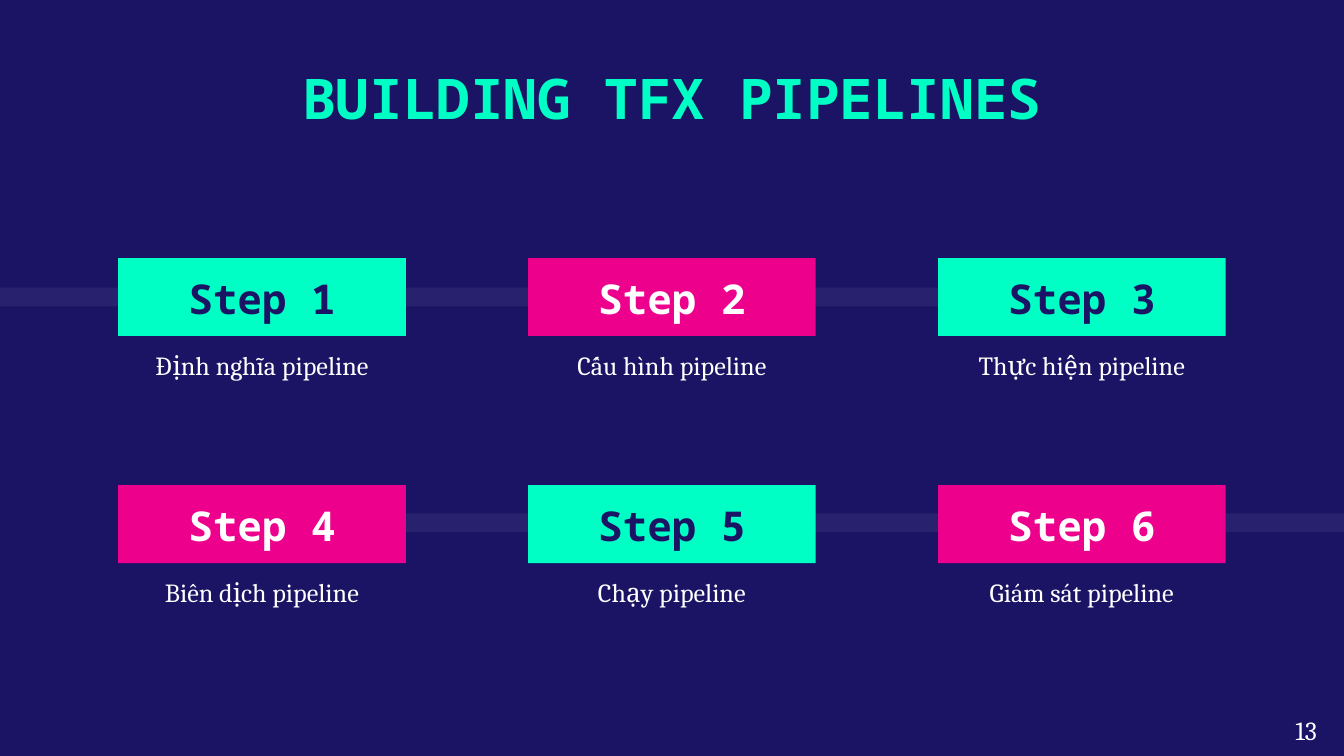
from lxml import etree
from pptx import Presentation
from pptx.dml.color import RGBColor as RGB
from pptx.enum.shapes import MSO_SHAPE as Shape
from pptx.enum.text import MSO_ANCHOR as Anchor, PP_ALIGN as Align
from pptx.oxml.ns import qn
from pptx.util import Inches, Pt

COLORS = {"navy": "1B1464", "mint": "00FFC5", "pink": "EC008C", "white": "FFFFFF"}
MONO, SERIF = "Noto Sans Mono", "Cambria"
STEPS = [
    "Định nghĩa pipeline", "Cấu hình pipeline", "Thực hiện pipeline",
    "Biên dịch pipeline", "Chạy pipeline", "Giám sát pipeline",
]
COLS = 3
LEFT, TOP = 0.88, 1.92
STEP_X, STEP_Y = 3.05, 1.69
CARD_W, CARD_H = 2.14, 0.58
NOTE_W, NOTE_H = 2.07, 0.73


def color(name):
    return RGB.from_string(COLORS[name])


def set_text(shape, text, size, font, ink, bold=False,
             align=Align.CENTER, anchor=Anchor.TOP, pad=0.1):
    frame = shape.text_frame
    frame.word_wrap = True
    frame.vertical_anchor = anchor
    frame.margin_left = frame.margin_right = Inches(0.1)
    frame.margin_top = frame.margin_bottom = Inches(pad)
    frame.text = text
    para = frame.paragraphs[0]
    para.alignment = align
    face = para.runs[0].font
    face.size, face.name, face.bold = Pt(size), font, bold
    face.color.rgb = color(ink)


def add_text(slide, box, *args, **opts):
    shape = slide.shapes.add_textbox(*map(Inches, box))
    set_text(shape, *args, **opts)


def add_rect(slide, box, fill):
    rect = slide.shapes.add_shape(Shape.RECTANGLE, *map(Inches, box))
    rect.shadow.inherit = False
    rect.fill.solid()
    rect.fill.fore_color.rgb = color(fill)
    rect.line.fill.background()
    return rect


def add_band(slide, box):
    """Add a faint white band that runs behind a row of steps."""
    band = add_rect(slide, box, "white")
    tint = band.fill._xPr.find(".//" + qn("a:srgbClr"))
    etree.SubElement(tint, qn("a:alpha"), val="6000")


def add_step(slide, index, note):
    row, col = divmod(index, COLS)
    x, y = LEFT + col * STEP_X, TOP + row * STEP_Y
    fill, ink = ("pink", "white") if index % 2 else ("mint", "navy")
    card = add_rect(slide, (x, y, CARD_W, CARD_H), fill)
    set_text(card, f"Step {index + 1}", 22, MONO, ink, bold=True,
             anchor=Anchor.BOTTOM)
    inset = (CARD_W - NOTE_W) / 2
    add_text(slide, (x + inset, y + CARD_H, NOTE_W, NOTE_H),
             note, 14, SERIF, "white")


def main():
    deck = Presentation()
    deck.slide_width = Inches(10)
    deck.slide_height = deck.slide_width * 9 // 16
    slide = deck.slides.add_slide(deck.slide_layouts[6])
    back = slide.background.fill
    back.solid()
    back.fore_color.rgb = color("navy")

    add_band(slide, (0, 2.14, 8.52, 0.14))
    add_band(slide, (1.02, 3.82, 8.98, 0.14))
    add_text(slide, (1.4, 0.37, 7.2, 0.73), "BUILDING TFX PIPELINES",
             30, MONO, "mint", bold=True)
    for index, note in enumerate(STEPS):
        add_step(slide, index, note)
    add_text(slide, (9.54, 5.27, 0.46, 0.34), "13", 14, SERIF, "white",
             align=Align.LEFT, pad=0.05)
    deck.save("out.pptx")


if __name__ == "__main__":
    main()
